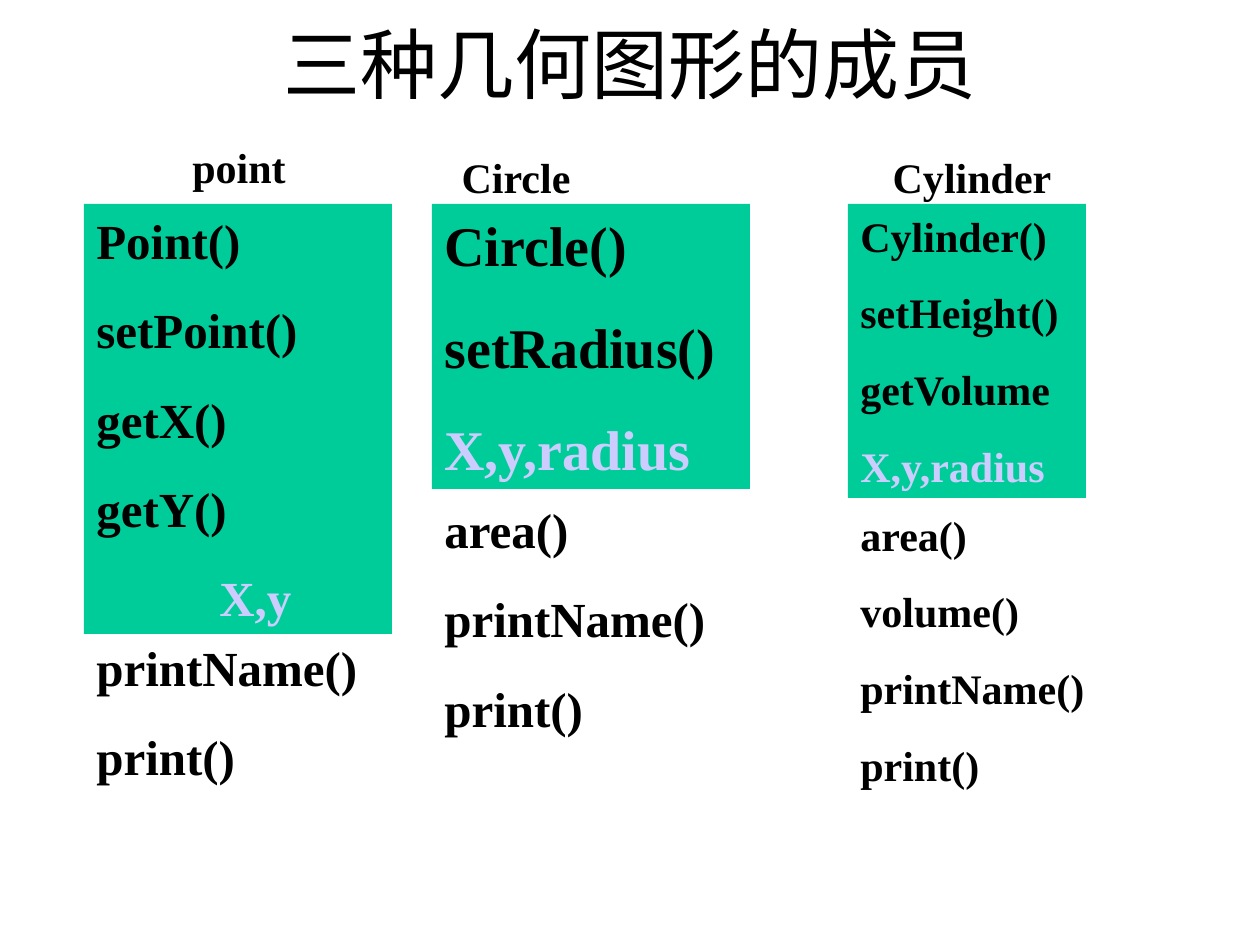
from pptx import Presentation
from pptx.dml.color import RGBColor
from pptx.enum.shapes import MSO_SHAPE
from pptx.enum.text import MSO_ANCHOR, MSO_AUTO_SIZE, PP_ALIGN
from pptx.util import Pt

RECTANGLE = MSO_SHAPE.RECTANGLE
TOP, MIDDLE = MSO_ANCHOR.TOP, MSO_ANCHOR.MIDDLE
LEFT, CENTER = PP_ALIGN.LEFT, PP_ALIGN.CENTER
GROW, FIXED = MSO_AUTO_SIZE.SHAPE_TO_FIT_TEXT, MSO_AUTO_SIZE.NONE

PX = 914400 / 126
FONT = "Times New Roman"
BLACK, WHITE, GREEN, LILAC = "000000", "FFFFFF", "00CC99", "CCCCFF"


def color(value):
    return RGBColor.from_string(value)


def write_lines(box, lines, size, align, bold=True):
    """Fill a shape with one paragraph per (text, colour, indent in px)."""
    frame = box.text_frame
    frame.word_wrap = True
    for index, (text, ink, indent) in enumerate(lines):
        para = frame.add_paragraph() if index else frame.paragraphs[0]
        para.alignment = align
        if index:
            para.space_before = Pt(size * 0.625)
        if indent:
            para._p.get_or_add_pPr().set("marL", str(int(indent * PX)))
        span = para.add_run()
        span.text = text
        span.font.name = FONT
        span.font.size = Pt(size)
        span.font.bold = bold
        span.font.color.rgb = color(ink)


deck = Presentation()
deck.slide_width, deck.slide_height = int(1260 * PX), int(945 * PX)
page = deck.slides.add_slide(deck.slide_layouts[5])

title = page.shapes.title
title.left, title.top, title.width, title.height = (
    int(n * PX) for n in (95, 0, 1071, 125))
title.text_frame.vertical_anchor = MIDDLE
title.text_frame.auto_size = FIXED
write_lines(title, [("三种几何图形的成员", BLACK, 0)], 44, CENTER, bold=False)

# Class name, its (left, top), then own members with the data line last,
# and virtual members: each as (left, top, width, height), size, lines
classes = [
    ("point", (115, 135),
     ((84, 204, 308, 430), 28, ["Point()", "setPoint()", "getX()", "getY()"],
      ("X,y", LILAC, 123)),
     ((84, 631, 308, 161), 28, ["printName()", "print()"])),
    ("Circle", (392, 145),
     ((432, 204, 318, 285), 32, ["Circle()", "setRadius()"],
      ("X,y,radius", LILAC, 0)),
     ((432, 493, 318, 251), 28, ["area()", "printName()", "print()"])),
    ("Cylinder", (848, 145),
     ((848, 204, 238, 294), 24, ["Cylinder()", "setHeight()", "getVolume"],
      ("X,y,radius", LILAC, 0)),
     ((848, 503, 297, 294), 24,
      ["area()", "volume()", "printName()", "print()"])),
]

for name, (label_left, label_top), own, virtual in classes:
    label = page.shapes.add_textbox(
        *(int(n * PX) for n in (label_left, label_top, 248, 63)))
    label.text_frame.auto_size = GROW
    write_lines(label, [(name, BLACK, 0)], 24, CENTER)

    for (area, size, members, *data), fill in ((virtual, WHITE), (own, GREEN)):
        box = page.shapes.add_shape(RECTANGLE, *(int(n * PX) for n in area))
        box.shadow.inherit = False
        box.fill.solid()
        box.fill.fore_color.rgb = color(fill)
        box.line.fill.background()
        box.text_frame.vertical_anchor = TOP
        box.text_frame.auto_size = GROW
        lines = [(member, BLACK, 0) for member in members] + data
        write_lines(box, lines, size, LEFT)

deck.save("out.pptx")
